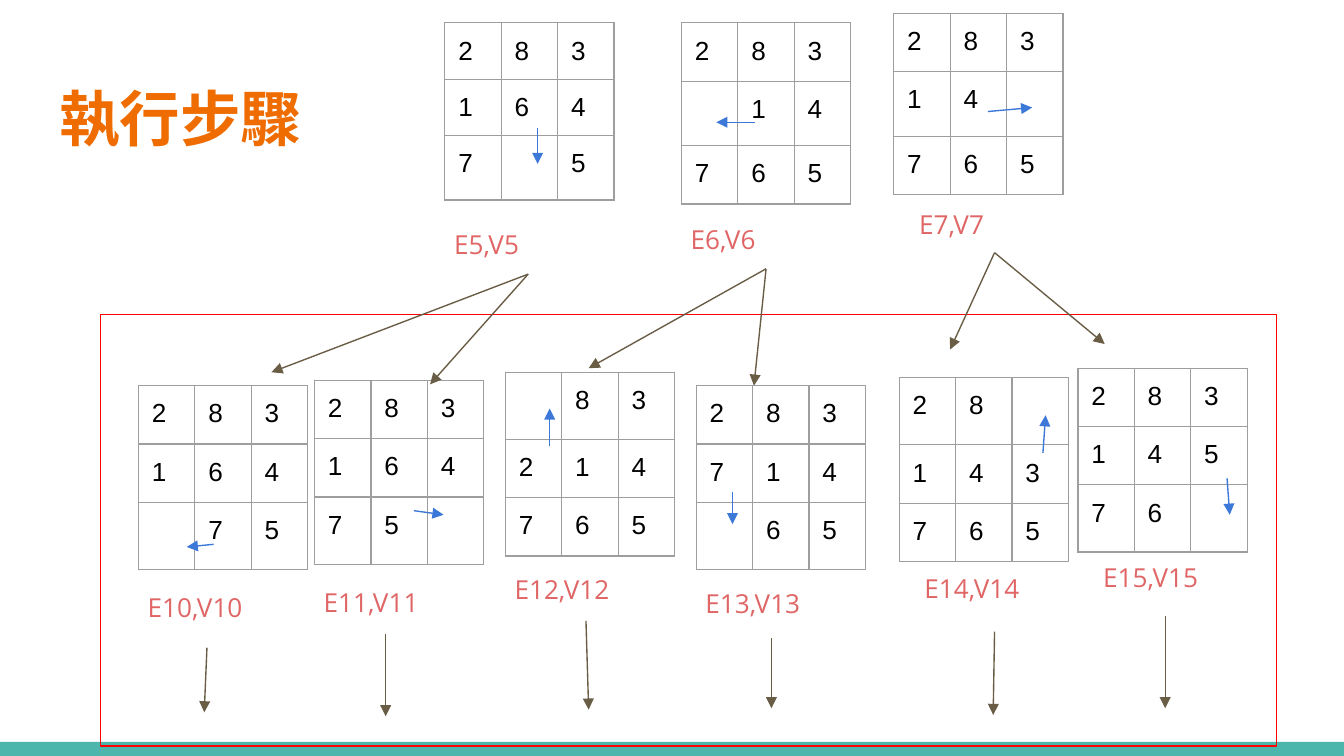
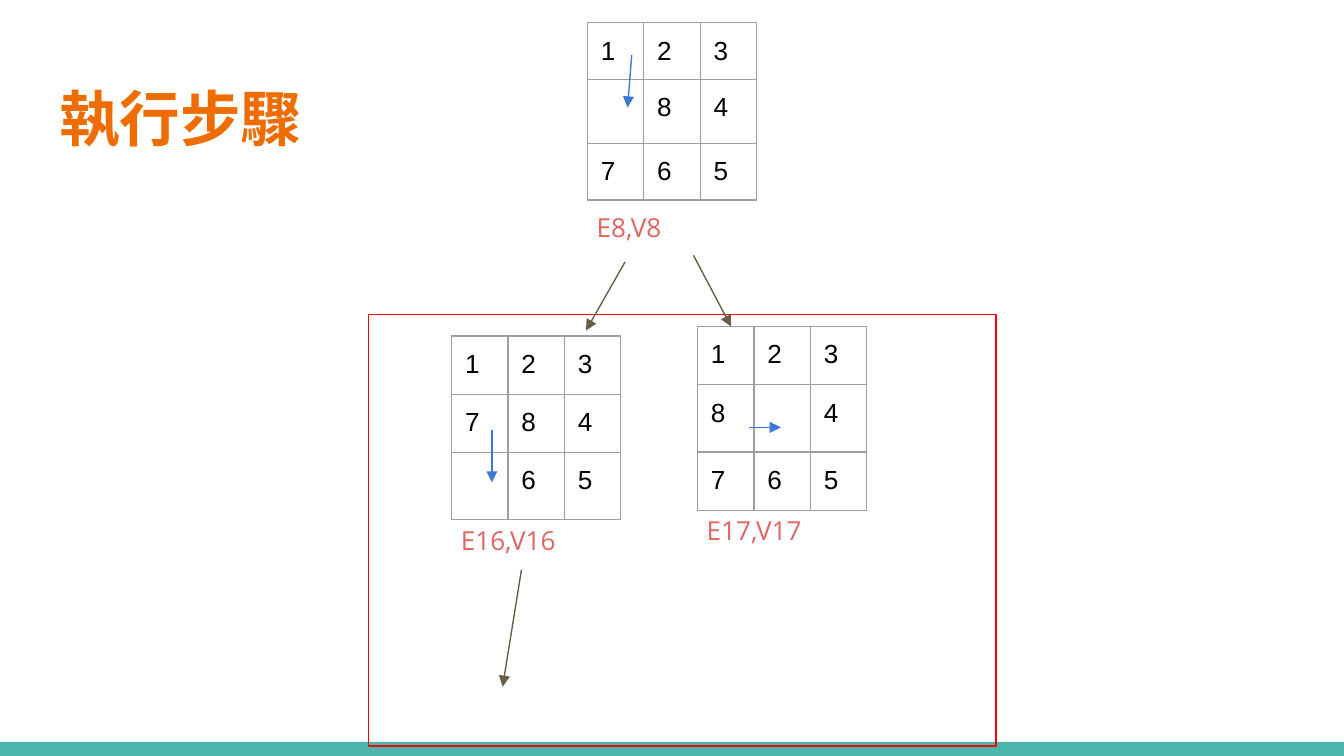
from dataclasses import dataclass
from typing import Any, NamedTuple

from lxml.etree import SubElement
from pptx import Presentation
from pptx.dml.color import RGBColor
from pptx.enum.shapes import MSO_CONNECTOR as Connector, MSO_SHAPE as Preset
from pptx.enum.text import MSO_ANCHOR as Anchor, MSO_AUTO_SIZE as AutoSize, PP_ALIGN as Align
from pptx.oxml.ns import qn
from pptx.util import Inches, Pt

WIDTH = Inches(10)
HEIGHT = WIDTH * 9 // 16
GRID_COLUMNS = 100
UNIT = WIDTH / GRID_COLUMNS  # square grid: rows are as tall as columns are wide
GRID_ROWS = HEIGHT / UNIT

TEAL, ORANGE, CORAL = "4DB6AC", "EF6C00", "E06666"
BLUE, BROWN, RED, GREY, BLACK = "3C78D8", "695D46", "FF0000", "9E9E9E", "000000"
LINE_WIDTH = Pt(0.75)
BAND_ROWS = 1.05
CELL_COLUMNS = 4.2
BLANK = "_"
TITLE = "執行步驟"

TITLE_FONT = {"name": "Arial Narrow", "size": Pt(32.4), "bold": True}
DIGIT_FONT = {"name": "Arial", "size": Pt(14)}
LABEL_FONT = {"name": "Open Sans", "size": Pt(14)}
MARGINS = {f"margin_{side}": Inches(0.1) for side in ("left", "top", "right", "bottom")}


class Box(NamedTuple):
    column: float
    row: float
    columns: float
    rows: float


class Arrow(NamedTuple):
    from_column: float
    from_row: float
    to_column: float
    to_row: float


class RowHeights(NamedTuple):
    full: float
    with_blank: float


PARENT = RowHeights(4.18, 4.8)
CHILD = RowHeights(4.33, 5)


@dataclass(frozen=True)
class Board:
    """A puzzle state, its label and the move of the blank."""
    number: int
    column: float
    row: float
    digits: str
    label_column: float
    label_row: float
    move: Arrow
    heights: RowHeights = CHILD


@dataclass(frozen=True)
class Step:
    boards: tuple[Board, ...]
    frame: Box
    links: tuple[Arrow, ...]


STEPS = (
    Step(
        boards=(
            Board(5, 33.1, 1.7, "283 164 7_5", 32.8, 16, Arrow(40, 9.5, 40, 12.2), PARENT),
            Board(6, 50.7, 1.7, "283 _14 765", 50.4, 15.6, Arrow(56.2, 9.1, 53.3, 9.1), PARENT),
            Board(7, 66.5, 1, "283 14_ 765", 67.4, 14.5, Arrow(73.5, 8.3, 76.8, 8), PARENT),
            Board(10, 10.3, 28.7, "283 164 _75", 10, 43, Arrow(15.9, 40.5, 13.9, 40.7)),
            Board(11, 23.4, 28.3, "283 164 75_", 23.1, 42.6, Arrow(30.8, 38, 33, 38.3)),
            Board(12, 37.6, 27.7, "_83 214 765", 37.3, 41.7, Arrow(40.9, 33.2, 40.9, 30.4)),
            Board(13, 51.8, 28.7, "283 714 _65", 51.5, 42.7, Arrow(54.5, 36.6, 54.5, 39)),
            Board(14, 66.9, 28.1, "28_ 143 765", 67.8, 41.6, Arrow(77.6, 33.7, 77.8, 30.9)),
            Board(15, 80.2, 27.4, "283 145 76_", 81.1, 40.8, Arrow(91.3, 35.6, 91.5, 38.3)),
        ),
        frame=Box(7.5, 23.4, 87.5, 32.1),
        links=(
            Arrow(39.3, 20.4, 20.2, 27.7),
            Arrow(39.3, 20.4, 32, 28.6),
            Arrow(57, 20, 43.8, 27.4),
            Arrow(57, 20, 56.1, 28.7),
            Arrow(74, 18.8, 70.7, 26),
            Arrow(74, 18.8, 82.2, 25.6),
            Arrow(15.4, 48.2, 15.2, 53),
            Arrow(28.7, 47.2, 28.7, 53.3),
            Arrow(43.6, 46.2, 43.8, 52.8),
            Arrow(57.4, 47.5, 57.4, 52.7),
            Arrow(74, 47, 73.9, 53.2),
            Arrow(86.7, 45.8, 86.7, 52.7),
        ),
    ),
    Step(
        boards=(
            Board(8, 43.7, 1.7, "123 _84 765", 43.4, 14.7, Arrow(47, 4.1, 46.7, 8), PARENT),
            Board(16, 33.6, 25, "123 784 _65", 33.3, 38, Arrow(36.6, 32, 36.6, 35.9)),
            Board(17, 51.9, 24.3, "123 8_4 765", 51.6, 37.3, Arrow(55.7, 31.8, 58.1, 31.8)),
        ),
        frame=Box(27.4, 23.4, 46.7, 32.1),
        links=(
            Arrow(46.5, 19.5, 43.6, 24.6),
            Arrow(51.6, 19, 54.4, 24.3),
            Arrow(38.8, 42.4, 37.4, 51.1),
        ),
    ),
)


def color(value: str) -> RGBColor:
    return RGBColor.from_string(value)


def grid(*lengths: float) -> list[int]:
    return [round(length * UNIT) for length in lengths]


def set_all(target: Any, values: dict[str, Any]) -> None:
    for name, value in values.items():
        setattr(target, name, value)


def write(frame: Any, text: str, font: dict[str, Any], text_color: str) -> Any:
    paragraph = frame.paragraphs[0]
    paragraph.alignment = Align.LEFT
    run = paragraph.add_run()
    run.text = text
    set_all(run.font, font)
    run.font.color.rgb = color(text_color)
    return run


def style_line(line: Any, line_color: str) -> None:
    line.color.rgb = color(line_color)
    line.width = LINE_WIDTH


def add_title(slide: Any) -> None:
    title = slide.shapes.title
    title.left, title.top, title.width, title.height = grid(*Box(3.4, 4.9, 26.6, 7.7))
    set_all(title.text_frame, MARGINS | {
        "vertical_anchor": Anchor.MIDDLE, "word_wrap": True, "auto_size": AutoSize.NONE})
    run = write(title.text_frame, TITLE, TITLE_FONT, ORANGE)
    SubElement(run._r.get_or_add_rPr(), qn("a:ea"), typeface=TITLE_FONT["name"])


def add_rectangle(slide: Any, box: Box) -> Any:
    shape = slide.shapes.add_shape(Preset.RECTANGLE, *grid(*box))
    shape.shadow.inherit = False
    return shape


def add_band(slide: Any) -> None:
    band = add_rectangle(slide, Box(0, GRID_ROWS - BAND_ROWS, GRID_COLUMNS, BAND_ROWS))
    band.fill.solid()
    band.fill.fore_color.rgb = color(TEAL)
    band.line.fill.background()


def add_frame(slide: Any, box: Box) -> None:
    frame = add_rectangle(slide, box)
    frame.fill.background()
    style_line(frame.line, RED)


def add_arrow(slide: Any, arrow: Arrow, arrow_color: str) -> None:
    connector = slide.shapes.add_connector(Connector.STRAIGHT, *grid(*arrow))
    style_line(connector.line, arrow_color)
    properties = connector.element.spPr
    SubElement(properties.find(qn("a:ln")), qn("a:tailEnd"), type="triangle")
    SubElement(properties, qn("a:effectLst"))


def add_borders(cell: Any) -> None:
    properties = cell._tc.get_or_add_tcPr()
    for side in ("lnL", "lnR", "lnT", "lnB"):
        border = SubElement(properties, qn(f"a:{side}"), w=str(int(LINE_WIDTH)))
        fill = SubElement(border, qn("a:solidFill"))
        SubElement(fill, qn("a:srgbClr"), val=GREY)


def shrink_blank(cell: Any) -> None:
    """Keep an empty cell from stretching its row."""
    paragraph = cell.text_frame.paragraphs[0]
    SubElement(paragraph._p, qn("a:endParaRPr"), sz=str(int(DIGIT_FONT["size"].pt * 100)))


def add_tiles(slide: Any, board: Board) -> None:
    lines = board.digits.split()
    heights = [board.heights.with_blank if BLANK in line else board.heights.full
               for line in lines]
    box = Box(board.column, board.row, CELL_COLUMNS * len(lines[0]), sum(heights))
    table = slide.shapes.add_table(len(lines), len(lines[0]), *grid(*box)).table
    set_all(table, {"first_row": False, "horz_banding": False})
    for column in table.columns:
        column.width, = grid(CELL_COLUMNS)
    for row, line, height in zip(table.rows, lines, heights):
        row.height, = grid(height)
        for cell, digit in zip(row.cells, line):
            set_all(cell, MARGINS)
            add_borders(cell)
            cell.fill.background()
            if digit == BLANK:
                shrink_blank(cell)
            else:
                write(cell.text_frame, digit, DIGIT_FONT, BLACK)


def add_label(slide: Any, board: Board) -> None:
    box = Box(board.label_column, board.label_row, 13.2, 4.4)
    frame = slide.shapes.add_textbox(*grid(*box)).text_frame
    set_all(frame, MARGINS | {"word_wrap": True, "auto_size": AutoSize.SHAPE_TO_FIT_TEXT})
    write(frame, f"E{board.number},V{board.number}", LABEL_FONT, CORAL)


def add_step(presentation: Any, step: Step) -> None:
    title_only = presentation.slide_layouts[5]
    slide = presentation.slides.add_slide(title_only)
    add_band(slide)
    add_title(slide)
    for board in step.boards:
        add_tiles(slide, board)
        add_label(slide, board)
        add_arrow(slide, board.move, BLUE)
    add_frame(slide, step.frame)
    for link in step.links:
        add_arrow(slide, link, BROWN)


def main() -> None:
    presentation = Presentation()
    set_all(presentation, {"slide_width": WIDTH, "slide_height": HEIGHT})
    for step in STEPS:
        add_step(presentation, step)
    presentation.save("out.pptx")


if __name__ == "__main__":
    main()
